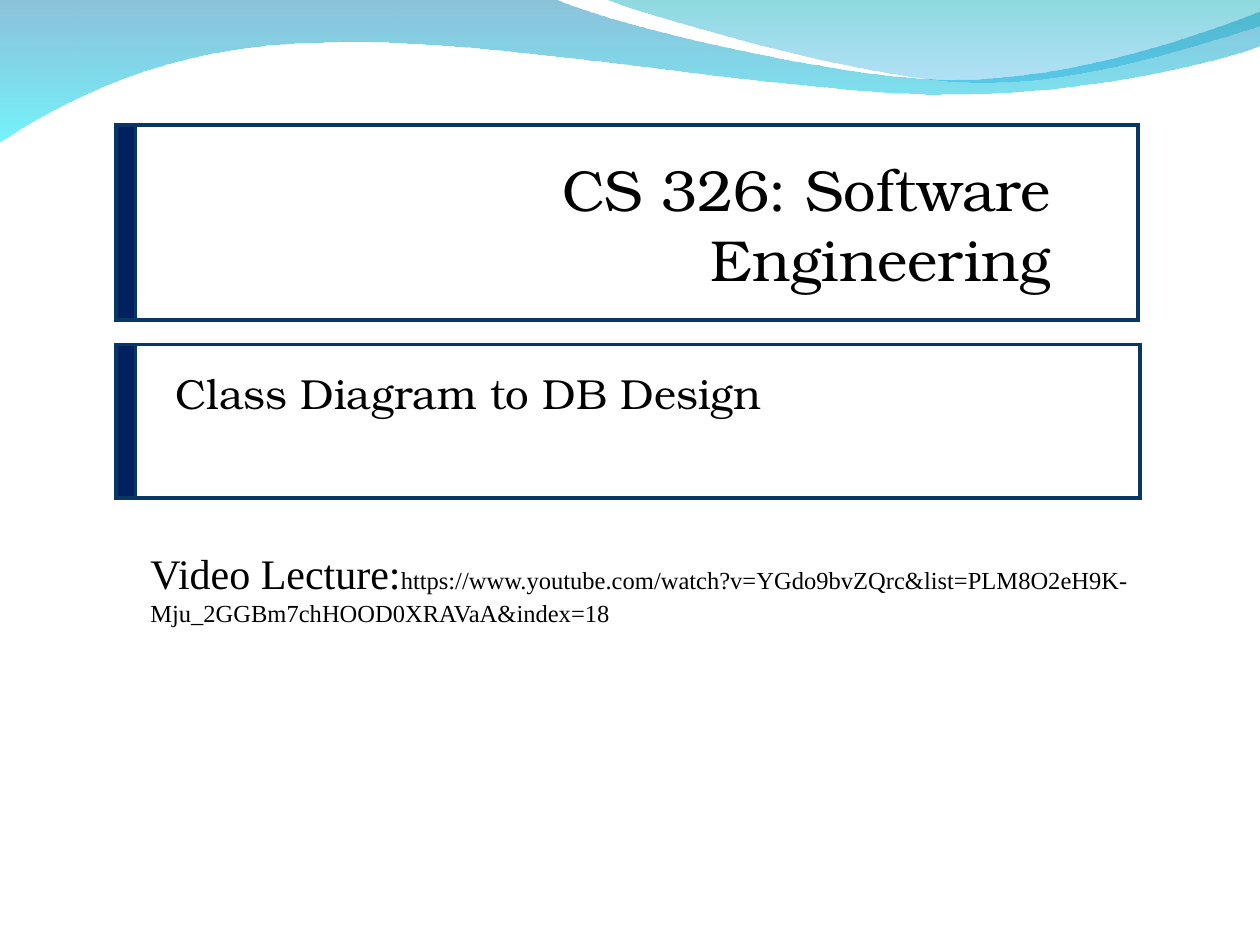
from pptx import Presentation
from pptx.dml.color import RGBColor as RGB
from pptx.enum.shapes import MSO_SHAPE as Shape
from pptx.enum.text import MSO_ANCHOR as Anchor, MSO_AUTO_SIZE as AutoSize, PP_ALIGN as Align
from pptx.oxml.ns import qn
from pptx.util import Pt
from lxml.etree import SubElement

WHITE = RGB(0xFF, 0xFF, 0xFF)
BLACK = RGB(0x00, 0x00, 0x00)
NAVY = RGB(0x00, 0x20, 0x60)
BORDER = RGB(0x08, 0x37, 0x63)
BLUE = RGB(0x00, 0x79, 0xAF)
CYAN = RGB(0x00, 0xEB, 0xF8)
TEAL = RGB(0x00, 0xAD, 0xB6)
SKY = RGB(0x00, 0x9B, 0xE5)

HEADING_FONT = "TeX Gyre Bonum"
BODY_FONT = "Times New Roman"


class SlideBuilder:
    """Draw waves, panels and text on one slide in a shared style."""

    def __init__(self, page):
        self.page = page
        self.border_width = Pt(2)

    def wave(self, start, segments, stops):
        builder = self.page.shapes.build_freeform(Pt(start[0]), Pt(start[1]))
        builder.add_line_segments([(Pt(x), Pt(y)) for segment in segments for x, y in segment])
        shape = builder.convert_to_shape()
        shape.shadow.inherit = False
        shape.line.fill.background()
        self.bend(shape, segments)
        shape.fill.gradient()
        shape.fill.gradient_angle = 270
        for stop, position, (color, _) in zip(shape.fill.gradient_stops, (0, 1), stops):
            stop.position = position
            stop.color.rgb = color
        for element, (_, opacity) in zip(shape._element.iter(qn("a:srgbClr")), stops):
            SubElement(element, qn("a:alpha"), val=str(opacity * 1000))

    def bend(self, shape, segments):
        lines = iter(list(shape._element.iter(qn("a:lnTo"))))
        for segment in segments:
            group = [next(lines) for _ in segment]
            if len(group) == 3:
                bezier = group[0].makeelement(qn("a:cubicBezTo"))
                group[0].addprevious(bezier)
                for line in group:
                    bezier.append(line[0])
                    line.getparent().remove(line)

    def panel(self, left, top, width, height, color):
        shape = self.page.shapes.add_shape(
            Shape.RECTANGLE, Pt(left), Pt(top), Pt(width), Pt(height)
        )
        shape.shadow.inherit = False
        shape.fill.solid()
        shape.fill.fore_color.rgb = color
        shape.line.color.rgb = BORDER
        shape.line.width = self.border_width
        SubElement(shape.line._get_or_add_ln(), qn("a:miter"), lim="800000")

    def text(self, left, top, width, height, spans, font, align=Align.LEFT):
        box = self.page.shapes.add_textbox(Pt(left), Pt(top), Pt(width), Pt(height))
        frame = box.text_frame
        frame.word_wrap = True
        frame.auto_size = AutoSize.NONE
        frame.vertical_anchor = Anchor.TOP
        para = frame.paragraphs[0]
        para.alignment = align
        for words, size in spans:
            span = para.add_run()
            span.text = words
            span.font.name = font
            span.font.size = Pt(size)
            span.font.color.rgb = BLACK


def main():
    deck = Presentation()
    deck.slide_width, deck.slide_height = Pt(720), Pt(540)
    slide = SlideBuilder(deck.slides.add_slide(deck.slide_layouts[6]))

    slide.wave(
        (0, -0.7),
        [
            [(316.8, -0.7)],
            [(342.7, 12.2), (478.1, 45.4), (545.8, 45.4)],
            [(614.2, 45.4), (689.8, 18.7), (720, 6.5)],
            [(720.7, 25.9)],
            [(707.8, 31.7), (626.4, 54.7), (537.1, 54)],
            [(447.8, 54), (275, 20.2), (185, 24.5)],
            [(92.9, 25.2), (33.1, 59.8), (-0.7, 81.4)],
            [(0, -0.7)],
        ],
        [(BLUE, 45), (CYAN, 55)],
    )
    slide.wave(
        (344.9, -0.7),
        [
            [(366.5, 7.9), (491, 44.6), (553.7, 46.8)],
            [(616.3, 49.7), (691.9, 23), (720, 15.1)],
            [(720, 0)],
            [(344.9, -0.7)],
        ],
        [(TEAL, 45), (SKY, 30)],
    )

    rows = [(66.3, 71.4, 111.6), (67.6, 196.8, 87.8)]
    for left, top, height in rows:
        slide.panel(left, top, 584, height, WHITE)
    for _, top, height in rows:
        slide.panel(66.3, top, 11.2, height, NAVY)

    slide.text(173.5, 84.6, 434.2, 86.4, [("CS 326: Software Engineering", 33)],
               HEADING_FONT, Align.RIGHT)
    slide.text(93.3, 206.3, 626.4, 64.8, [("Class Diagram to DB Design", 24)], HEADING_FONT)
    slide.text(
        78.8, 309.6, 573.8, 53.3,
        [
            ("Video Lecture:", 24),
            ("https://www.youtube.com/watch?v=YGdo9bvZQrc"
             "&list=PLM8O2eH9K-Mju_2GGBm7chHOOD0XRAVaA&index=18", 14),
        ],
        BODY_FONT,
    )
    deck.save("out.pptx")


if __name__ == "__main__":
    main()
